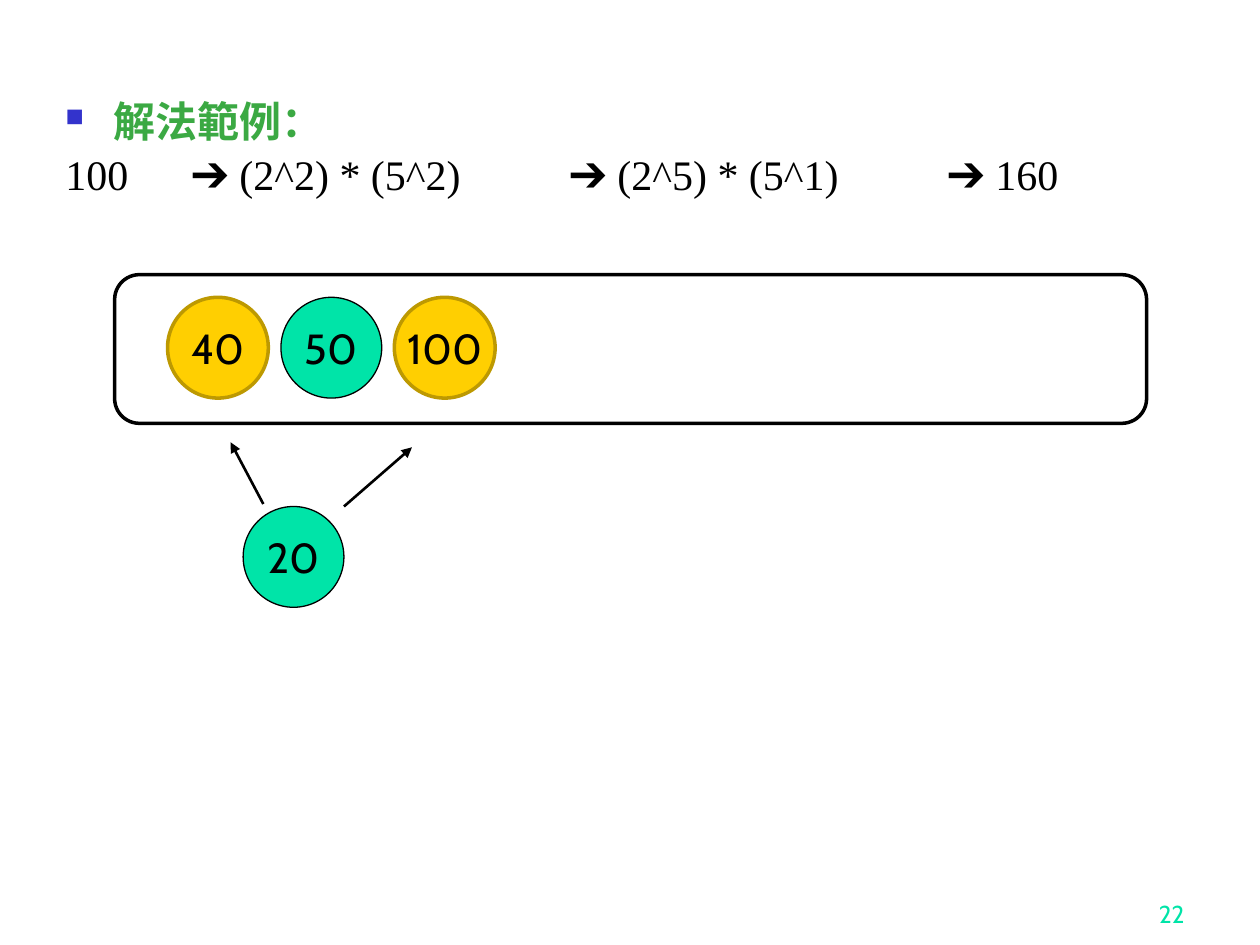
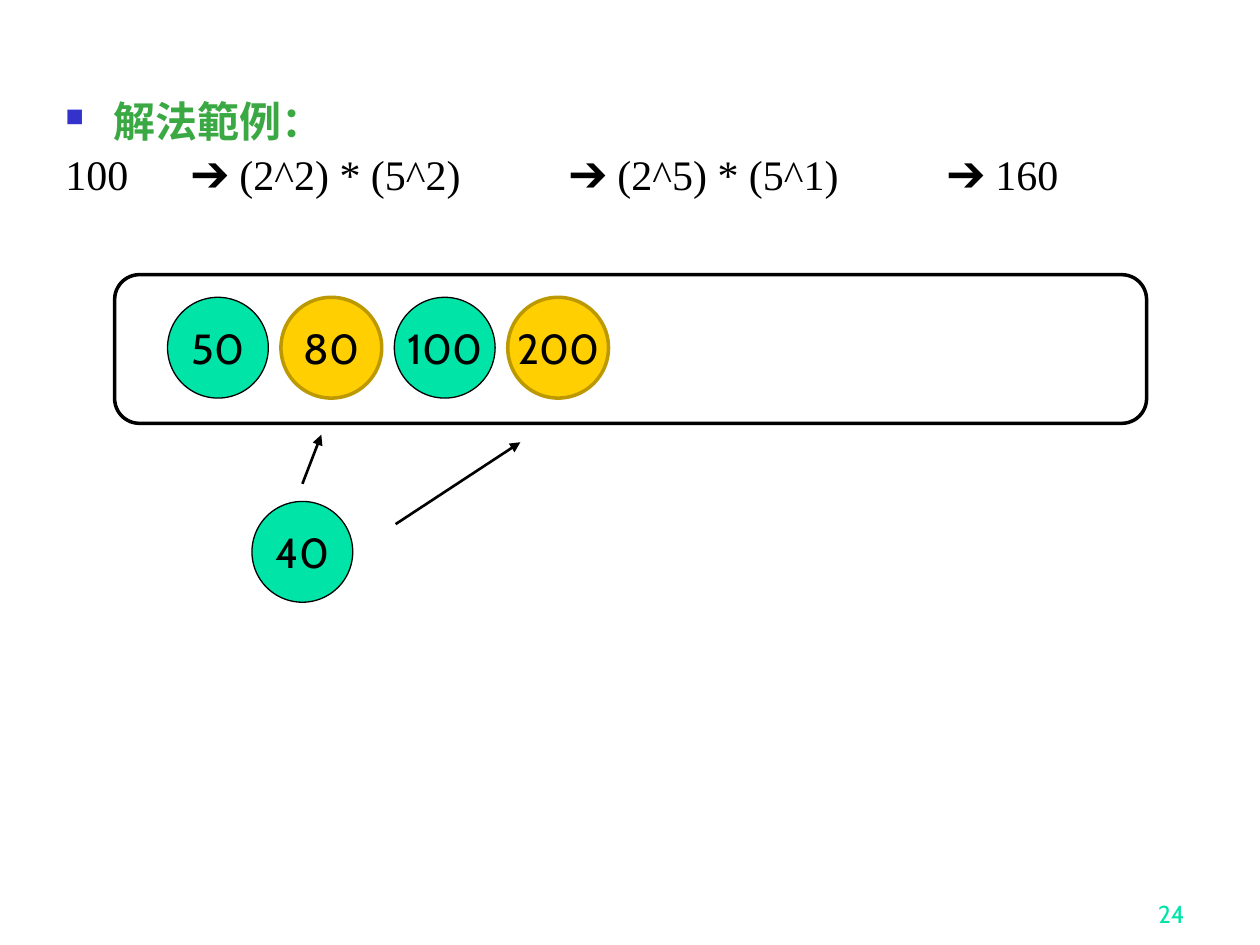
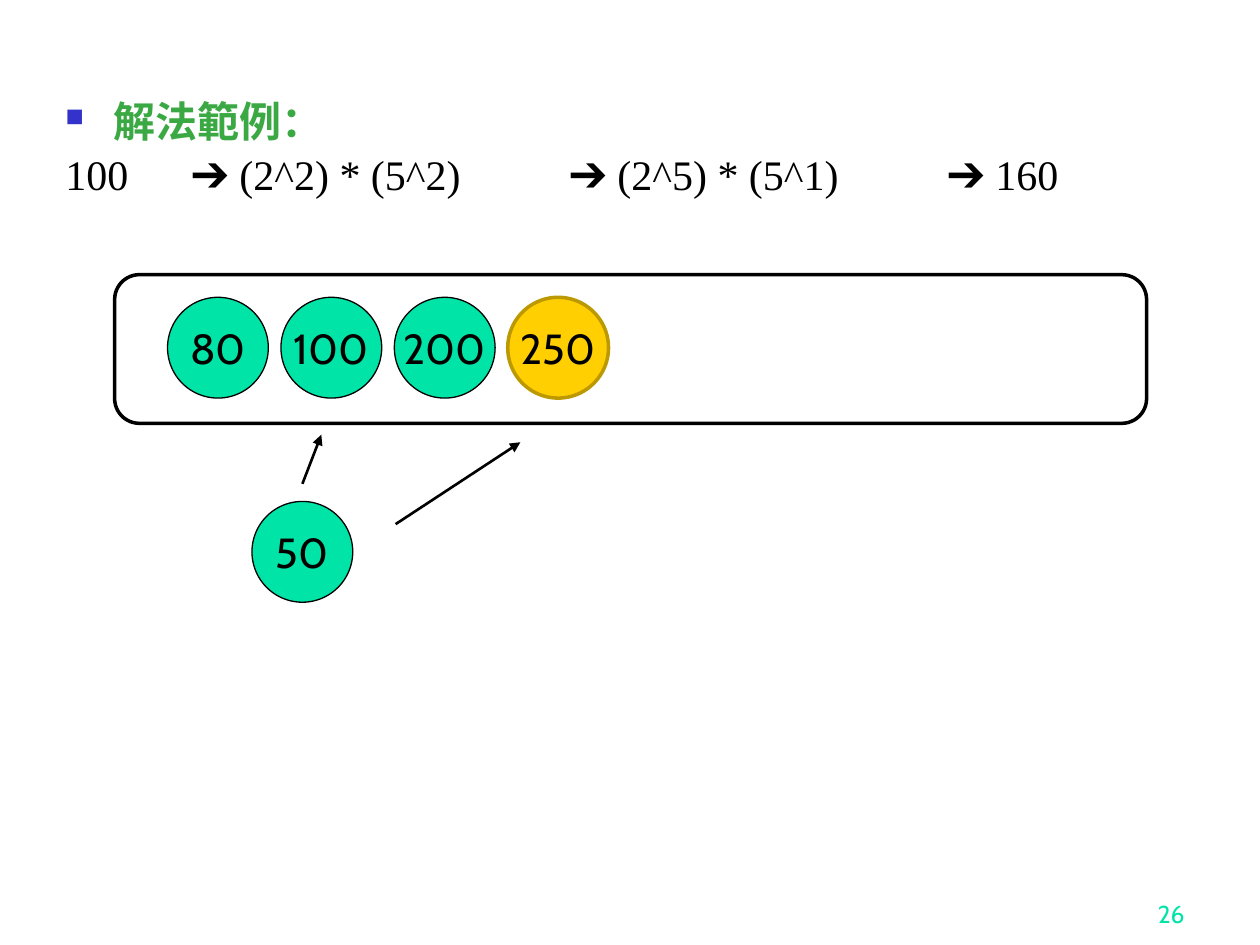
from lxml.etree import SubElement
from pptx import Presentation
from pptx.dml.color import RGBColor
from pptx.enum.shapes import MSO_CONNECTOR, MSO_SHAPE
from pptx.enum.text import MSO_ANCHOR, PP_ALIGN
from pptx.oxml.ns import qn
from pptx.util import Inches, Pt

HEADING = "解法範例："
FACTORING = "100\t➔ (2^2) * (5^2) \t➔ (2^5) * (5^1) \t➔ 160"
TAB_STOPS = (1, 4, 7)

# Arrows run from the removed number to the numbers it adds.
NEAR_ARROWS = [((2.09, 4), (1.83, 3.51)), ((2.73, 4.02), (3.27, 3.55))]
FAR_ARROWS = [((2.4, 3.84), (2.55, 3.45)), ((3.14, 4.16), (4.13, 3.51))]
STEPS = [
    dict(page=22, queue=[40, 50, 100], added={40, 100},
         removed=20, removed_at=(1.93, 4.02), arrows=NEAR_ARROWS),
    dict(page=24, queue=[50, 80, 100, 200], added={80, 200},
         removed=40, removed_at=(2, 3.98), arrows=FAR_ARROWS),
    dict(page=26, queue=[80, 100, 200, 250], added={250},
         removed=50, removed_at=(2, 3.98), arrows=FAR_ARROWS),
]

BLACK, WHITE, MINT = "000000", "FFFFFF", "00E4A8"
GOLD, DARK_GOLD = "FFCF01", "BD9901"
GREEN, BULLET_BLUE = "3BA943", "3333CC"
NUMBER_FONT, BODY_FONT = "Cabin", "Times New Roman"

QUEUE_LEFT, QUEUE_TOP, QUEUE_PITCH = 1.33, 2.36, 0.9
DIAMETER = 0.8


def rgb(color):
    return RGBColor.from_string(color)


def add_run(paragraph, text, font, size, color, bold=False):
    run = paragraph.add_run()
    run.text = text
    run.font.name = font
    run.font.size = Pt(size)
    run.font.bold = bold
    run.font.color.rgb = rgb(color)


def add_outlined(slide, preset, box, fill, line, width):
    shape = slide.shapes.add_shape(preset, *map(Inches, box))
    shape.shadow.inherit = False
    shape.fill.solid()
    shape.fill.fore_color.rgb = rgb(fill)
    shape.line.color.rgb = rgb(line)
    shape.line.width = Pt(width)
    return shape


def add_number(slide, number, left, top, is_new=False):
    colors = (GOLD, DARK_GOLD, 2) if is_new else (MINT, BLACK, 0.75)
    circle = add_outlined(slide, MSO_SHAPE.OVAL,
                          (left, top, DIAMETER, DIAMETER), *colors)
    frame = circle.text_frame
    frame.word_wrap = False
    frame.vertical_anchor = MSO_ANCHOR.MIDDLE
    paragraph = frame.paragraphs[0]
    paragraph.alignment = PP_ALIGN.CENTER
    add_run(paragraph, str(number), NUMBER_FONT, 24, BLACK)


def add_arrow(slide, start, end):
    arrow = slide.shapes.add_connector(MSO_CONNECTOR.STRAIGHT,
                                       *map(Inches, start + end))
    arrow.line.color.rgb = rgb(BLACK)
    arrow.line.width = Pt(1.5)
    properties = arrow.line._get_or_add_ln()
    SubElement(properties, qn("a:tailEnd"), type="triangle")
    SubElement(arrow._element.spPr, qn("a:effectLst"))


def add_text_frame(slide, box):
    frame = slide.shapes.add_textbox(*map(Inches, box)).text_frame
    frame.word_wrap = True
    return frame


def set_square_bullet(paragraph):
    properties = paragraph._p.get_or_add_pPr()
    properties.set("marL", str(Inches(0.38)))
    properties.set("indent", str(Inches(-0.38)))
    color = SubElement(properties, qn("a:buClr"))
    SubElement(color, qn("a:srgbClr"), val=BULLET_BLUE)
    SubElement(properties, qn("a:buSzPct"), val="60000")
    SubElement(properties, qn("a:buChar"), char="■")


def set_tab_stops(paragraph):
    tabs = SubElement(paragraph._p.get_or_add_pPr(), qn("a:tabLst"))
    for stop in TAB_STOPS:
        SubElement(tabs, qn("a:tab"), pos=str(Inches(stop)), algn="l")


def add_body(slide):
    frame = add_text_frame(slide, (0.42, 0.75, 9.47, 6.15))
    heading = frame.paragraphs[0]
    set_square_bullet(heading)
    add_run(heading, HEADING, BODY_FONT, 24, GREEN, bold=True)
    factoring = frame.add_paragraph()
    set_tab_stops(factoring)
    add_run(factoring, FACTORING, BODY_FONT, 24, BLACK)
    factoring.space_before = Pt(4.8)
    for paragraph in frame.paragraphs:
        paragraph.line_spacing = 0.9


def add_page_number(slide, page):
    frame = add_text_frame(slide, (7.42, 6.92, 2.08, 0.5))
    frame.vertical_anchor = MSO_ANCHOR.BOTTOM
    paragraph = frame.paragraphs[0]
    paragraph.alignment = PP_ALIGN.RIGHT
    add_run(paragraph, str(page), NUMBER_FONT, 14, MINT)


def add_step(deck, step):
    slide = deck.slides.add_slide(deck.slide_layouts[6])
    add_outlined(slide, MSO_SHAPE.ROUNDED_RECTANGLE,
                 (0.91, 2.18, 8.19, 1.18), WHITE, BLACK, 2)
    add_page_number(slide, step["page"])
    add_body(slide)
    for place, number in enumerate(step["queue"]):
        add_number(slide, number, QUEUE_LEFT + place * QUEUE_PITCH, QUEUE_TOP,
                   number in step["added"])
    add_number(slide, step["removed"], *step["removed_at"])
    for start, end in step["arrows"]:
        add_arrow(slide, start, end)


def main():
    deck = Presentation()
    deck.slide_width, deck.slide_height = Inches(10), Inches(7.5)
    for step in STEPS:
        add_step(deck, step)
    deck.save("out.pptx")


if __name__ == "__main__":
    main()
